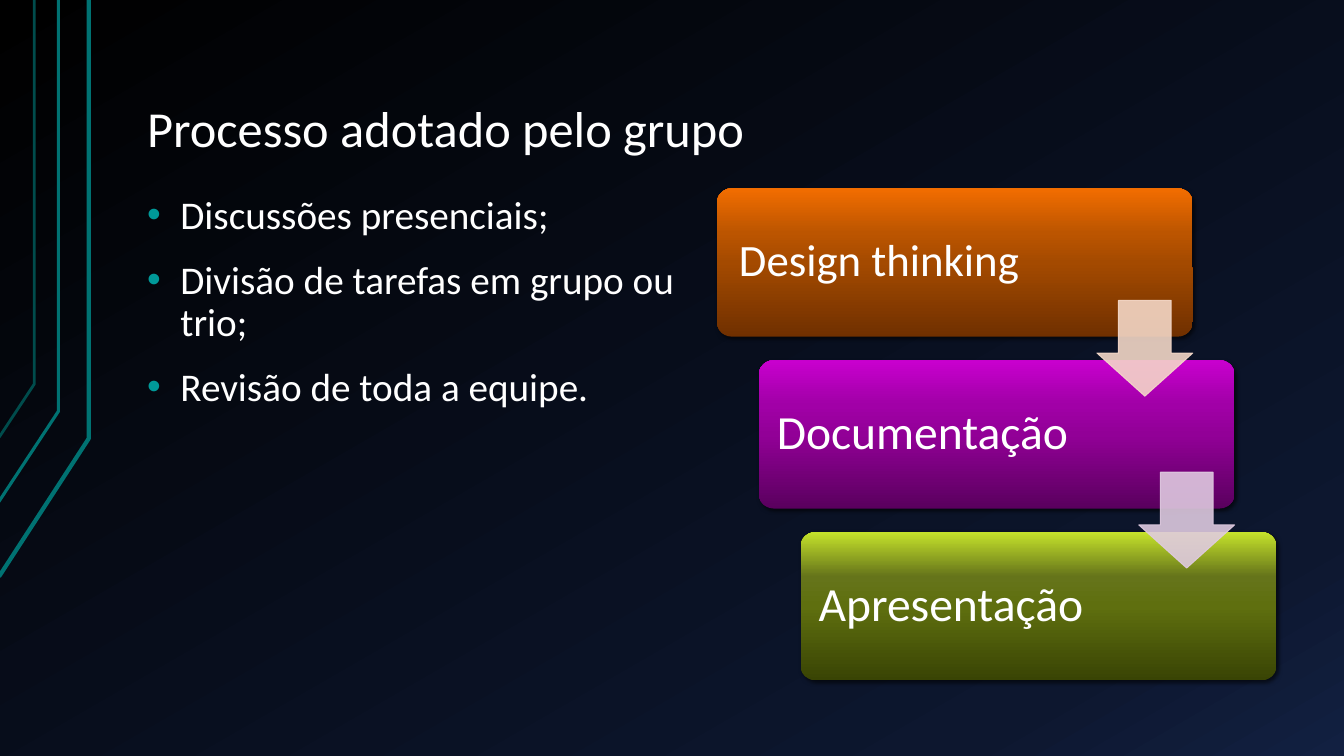
from lxml.etree import SubElement
from pptx import Presentation
from pptx.dml.color import RGBColor
from pptx.enum.shapes import MSO_SHAPE
from pptx.enum.text import MSO_ANCHOR, PP_ALIGN
from pptx.oxml.ns import qn
from pptx.util import Inches, Pt


def color(value):
    return RGBColor.from_string(value)


def add_node(parent, tag, **attributes):
    """Append a DrawingML element, writing each attribute as text."""
    return SubElement(parent, qn(f"a:{tag}"),
                      {name: str(value) for name, value in attributes.items()})


def set_gradient(properties, stops, angle):
    """Put a linear gradient in the place of the solid fill of properties."""
    solid = properties.find(qn("a:solidFill"))
    gradient = add_node(properties, "gradFill", rotWithShape=1)
    stop_list = add_node(gradient, "gsLst")
    for position, value in stops:
        stop = add_node(stop_list, "gs", pos=position * 1000)
        add_node(stop, "srgbClr", val=value)
    add_node(gradient, "lin", ang=angle * 60000, scaled=0)
    properties.replace(solid, gradient)


class SlideBuilder:
    font = "Calibri"
    text_color = "FFFFFF"
    bullet_color = "009999"
    line_spacing = 0.9

    def __init__(self, presentation):
        self.slide = presentation.slides.add_slide(presentation.slide_layouts[6])

    def background(self, stops, angle):
        self.slide.background.fill.solid()
        properties = self.slide.element.find(f".//{qn('p:bgPr')}")
        set_gradient(properties, stops, angle)

    def outline(self, points, line_color, width):
        """Draw an open, unfilled line through the points."""
        corners = [(Inches(x), Inches(y)) for x, y in points]
        builder = self.slide.shapes.build_freeform(*corners[0])
        builder.add_line_segments(corners[1:], close=False)
        shape = builder.convert_to_shape()
        shape.shadow.inherit = False
        shape.fill.background()
        shape.line.color.rgb = color(line_color)
        shape.line.width = Pt(width)

    def text(self, box, lines, size, insets=(0.13, 0.07), anchor=MSO_ANCHOR.TOP,
             align=PP_ALIGN.LEFT, bullets=False):
        shape = self.slide.shapes.add_textbox(*map(Inches, box))
        frame = shape.text_frame
        frame.word_wrap = True
        frame.vertical_anchor = anchor
        frame.margin_left = frame.margin_right = Inches(insets[0])
        frame.margin_top = frame.margin_bottom = Inches(insets[1])
        frame.text = "\n".join(lines)
        for index, paragraph in enumerate(frame.paragraphs):
            paragraph.alignment = align
            paragraph.line_spacing = self.line_spacing
            if bullets:
                paragraph.space_before = Pt(16 if index else 0)
                self.bullet(paragraph)
            for run in paragraph.runs:
                run.font.name = self.font
                run.font.size = Pt(size)
                run.font.color.rgb = color(self.text_color)

    def bullet(self, paragraph):
        properties = paragraph._p.get_or_add_pPr()
        properties.set("marL", str(Inches(0.33)))
        properties.set("indent", str(-Inches(0.33)))
        bullet_color = add_node(properties, "buClr")
        add_node(bullet_color, "srgbClr", val=self.bullet_color)
        add_node(properties, "buFont", typeface="Arial")
        add_node(properties, "buChar", char="•")

    def preset(self, kind, box, adjustments):
        shape = self.slide.shapes.add_shape(kind, *map(Inches, box))
        shape.shadow.inherit = False
        for index, value in enumerate(adjustments):
            shape.adjustments[index] = value
        shape.fill.solid()
        return shape

    def card(self, box, shades):
        """Draw a rounded card shaded from bottom to top, with a soft shadow."""
        shape = self.preset(MSO_SHAPE.ROUNDED_RECTANGLE, box, [0.1])
        shape.line.fill.background()
        properties = shape._element.spPr
        set_gradient(properties, zip((0, 50, 70, 100), shades), 270)
        shadow = add_node(properties.find(qn("a:effectLst")), "outerShdw",
                          blurRad=Pt(3), dist=Pt(2), dir=45 * 60000, rotWithShape=0)
        shadow_color = add_node(shadow, "srgbClr", val="000000")
        add_node(shadow_color, "alpha", val=60000)

    def arrow(self, box, fill_color):
        shape = self.preset(MSO_SHAPE.DOWN_ARROW, box, [0.55, 0.45])
        shape.fill.fore_color.rgb = color(fill_color)
        shape.line.color.rgb = color(fill_color)
        shape.line.width = Pt(0.75)
        for node in shape._element.spPr.iter(qn("a:srgbClr")):
            add_node(node, "alpha", val=89000)


def main():
    presentation = Presentation()
    presentation.slide_width = Inches(13.33)
    presentation.slide_height = Inches(7.5)
    builder = SlideBuilder(presentation)
    builder.background([(0, "000000"), (85, "0D172F"), (100, "122041")], 60)

    side_lines = [
        ([(-0.01, 5.72), (0.88, 4.35), (0.88, 0)], "007272", 3),
        ([(-0.02, 4.99), (0.58, 4.08), (0.58, 0)], "007272", 2.25),
        ([(-0.01, 4.34), (0.34, 3.81), (0.34, 0)], "004C4C", 2),
    ]
    for points, line_color, width in side_lines:
        builder.outline(points, line_color, width)

    builder.text((1.33, 0.3, 11.33, 1.34), ["Processo adotado pelo grupo"], 36,
                 anchor=MSO_ANCHOR.BOTTOM)
    builder.text((1.33, 1.87, 5.55, 4.88),
                 ["Discussões presenciais;",
                  "Divisão de tarefas em grupo ou trio;",
                  "Revisão de toda a equipe."], 28, bullets=True)

    left, top, step_x, step_y = 7.11, 1.87, 0.415, 1.705
    steps = [
        ("Design thinking", 32, 3.14, 0.13, PP_ALIGN.CENTER,
         ("703000", "A44A00", "BC5500", "F26D00")),
        ("Documentação", 34, 3.27, 0.14, PP_ALIGN.LEFT,
         ("5A005E", "920097", "A100A7", "C800CE")),
        ("Apresentação", 34, 3.27, 0.14, PP_ALIGN.LEFT,
         ("394404", "5F6F0F", "65741A", "C5E22B")),
    ]
    for index, (label, size, width, inset, align, shades) in enumerate(steps):
        x, y = left + index * step_x, top + index * step_y
        builder.card((x, y, 4.72, 1.47), shades)
        builder.text((x + 0.04, y + 0.04, width, 1.38), [label], size,
                     (inset, inset), MSO_ANCHOR.MIDDLE, align)

    for index, arrow_color in enumerate(("F5D9C9", "E0CBE1")):
        x, y = left + index * step_x, top + index * step_y
        builder.arrow((x + 3.77, y + 1.11, 0.95, 0.95), arrow_color)

    presentation.save("out.pptx")


if __name__ == "__main__":
    main()
